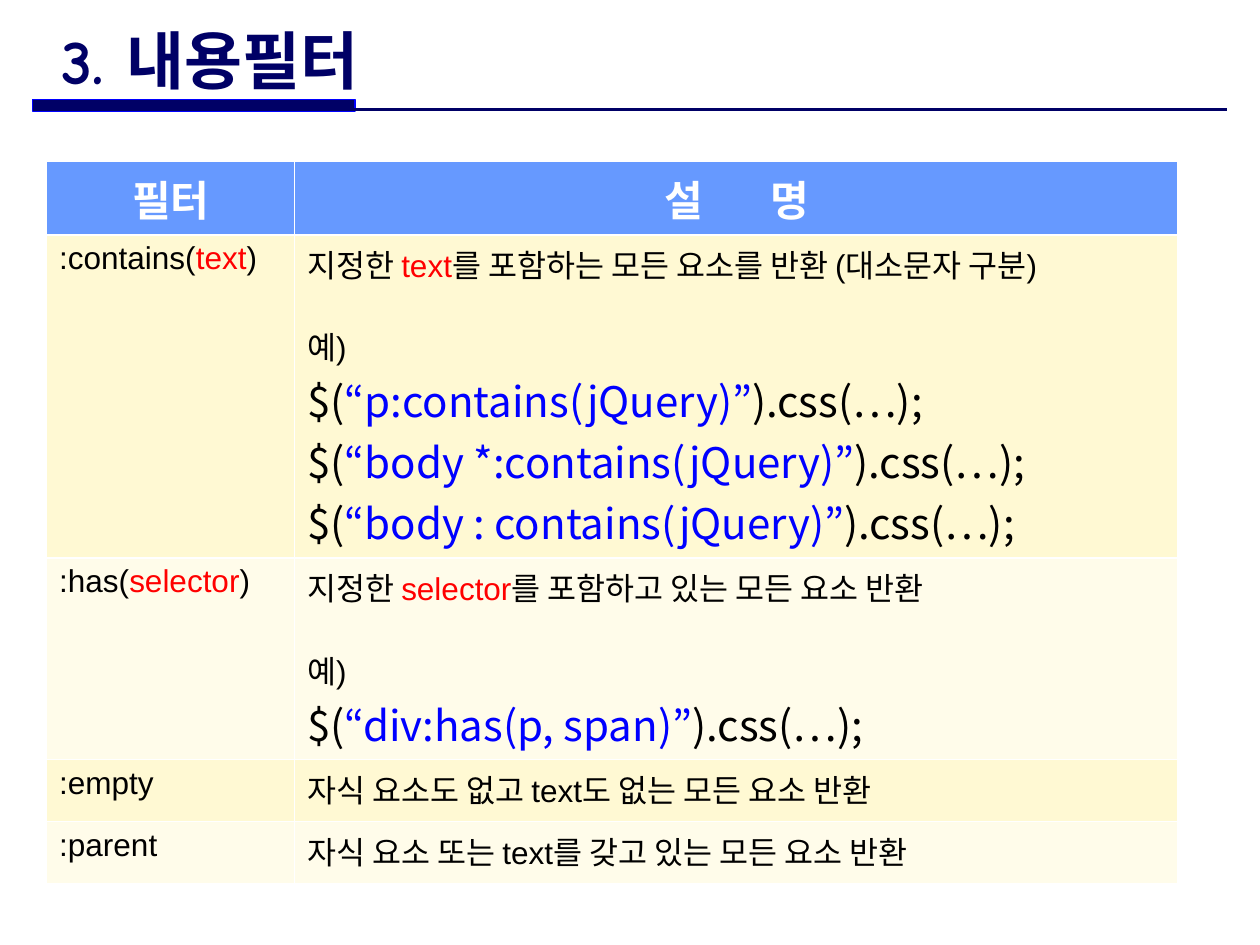
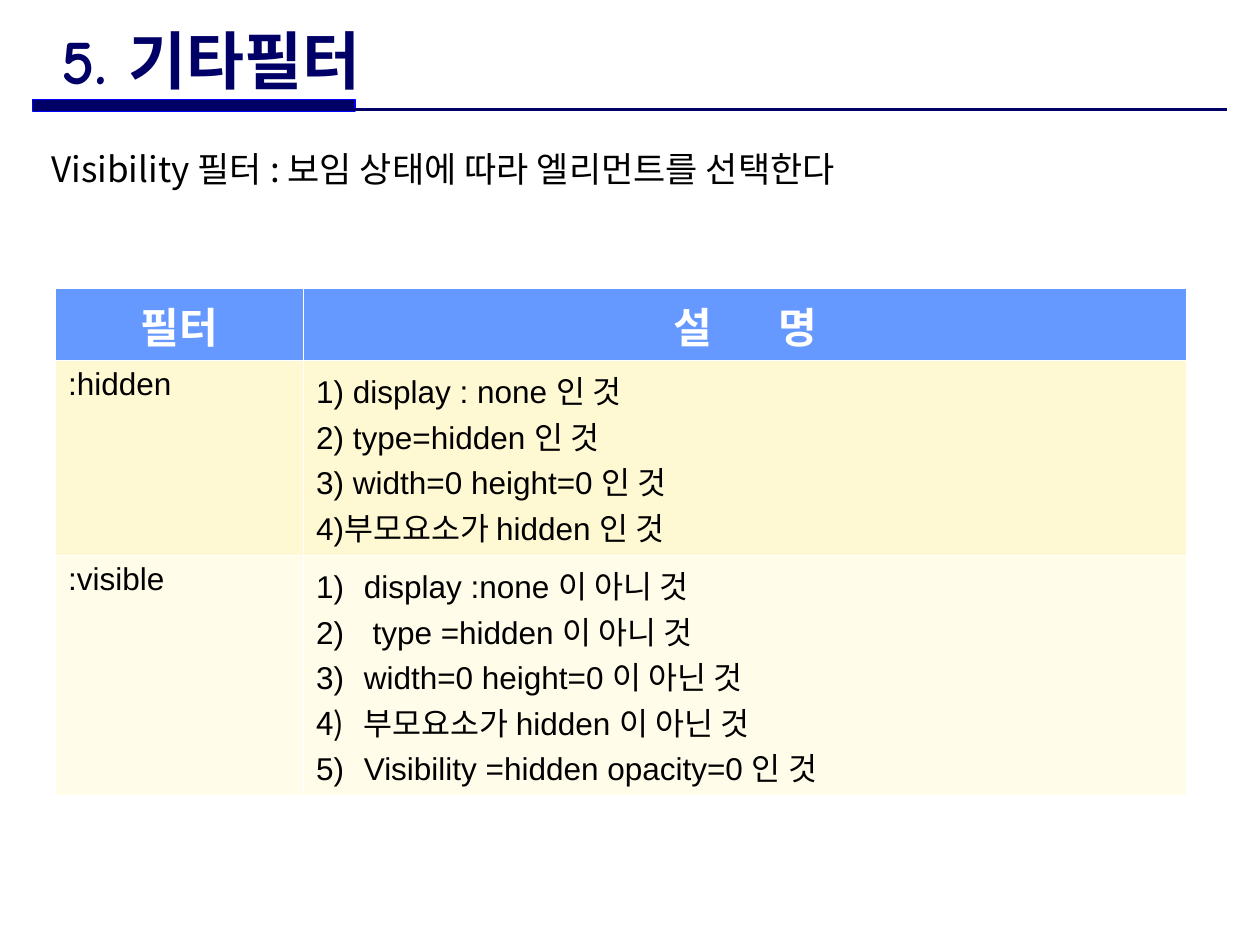
from lxml import etree
from pptx import Presentation
from pptx.dml.color import RGBColor
from pptx.enum.shapes import MSO_CONNECTOR, MSO_SHAPE
from pptx.enum.text import MSO_ANCHOR, MSO_AUTO_SIZE, PP_ALIGN
from pptx.oxml.ns import qn
from pptx.util import Cm, Pt

LEFT, CENTER = PP_ALIGN.LEFT, PP_ALIGN.CENTER
MIDDLE, NO_FIT = MSO_ANCHOR.MIDDLE, MSO_AUTO_SIZE.NONE
RECT, STRAIGHT = MSO_SHAPE.RECTANGLE, MSO_CONNECTOR.STRAIGHT

COLORS = {
    "navy": "000066", "blue": "0000FF", "red": "FF0000", "black": "000000",
    "white": "FFFFFF", "header": "6699FF", "band1": "FFF9D3", "band2": "FFFCEA",
}
SANS, KOREAN, TITLE_FONT = "Arial", "Noto Sans CJK KR", "Comic Neue"
HANGING = Cm(0.96)
COLUMNS = (5.0, 17.81)
HEADER = ("필터", "설 명")

# Content: a paragraph is a list of (text, colour) runs plus its format


def para(*runs, **fmt):
    return [r if isinstance(r, tuple) else (r, "black") for r in runs], fmt


def code(selector):
    return para("$(", (f"“{selector}”", "blue"), ").css(…);", size=24, font=KOREAN)


def numbered(text):
    return para(text, number=True)


EXAMPLE = para("예)", before=21)

SLIDES = [
    {
        "title": "3. 내용필터",
        "at": (0.94, 3.25),
        "heights": (1.48, 6.5, 4.06, 1.25, 1.25),
        "rows": [
            (para(":contains(", ("text", "red"), ")"),
             [para("지정한 ", ("text", "red"), "를 포함하는 모든 요소를 반환 (대소문자 구분)"),
              EXAMPLE,
              code("p:contains(jQuery)"),
              code("body *:contains(jQuery)"),
              code("body : contains(jQuery)")]),
            (para(":has(", ("selector", "red"), ")"),
             [para("지정한 ", ("selector", "red"), "를 포함하고 있는 모든 요소 반환"),
              EXAMPLE,
              code("div:has(p, span)")]),
            (para(":empty"), [para("자식 요소도 없고 text도 없는 모든 요소 반환")]),
            (para(":parent"), [para("자식 요소 또는 text를 갖고 있는 모든 요소 반환")]),
        ],
    },
    {
        "title": "5. 기타필터",
        "intro": "Visibility 필터 : 보임 상태에 따라 엘리먼트를 선택한다",
        "at": (1.12, 5.82),
        "heights": (1.45, 3.93, 4.84),
        "rows": [
            (para(":hidden"),
             [para("1) display : none 인 것"),
              para("2) type=hidden 인 것"),
              para("3) width=0 height=0 인 것"),
              para("4)부모요소가 hidden 인 것")]),
            (para(":visible"),
             [numbered("display :none 이 아니 것"),
              numbered(" type =hidden 이 아니 것"),
              numbered("width=0 height=0 이 아닌 것"),
              numbered("부모요소가 hidden 이 아닌 것"),
              numbered("Visibility =hidden opacity=0 인 것")]),
        ],
    },
]


def rgb(name):
    return RGBColor.from_string(COLORS[name])


def write(p, runs, size=18, font=SANS, bold=False, align=LEFT, before=0,
          number=False, space_gap=0):
    """Fill a paragraph; space_gap widens each run that is a single space."""
    p.alignment = align
    p.space_before = Pt(before)
    if number:
        pPr = p._p.get_or_add_pPr()
        pPr.set("marL", str(HANGING))
        pPr.set("indent", str(-HANGING))
        etree.SubElement(pPr, qn("a:buFont"), typeface="+mj-lt")
        etree.SubElement(pPr, qn("a:buAutoNum"), type="arabicParenR")
    for text, color in runs:
        r = p.add_run()
        r.text = text
        r.font.size, r.font.bold, r.font.name = Pt(size), bold, font
        r.font.color.rgb = rgb(color)
        rPr = r._r.get_or_add_rPr()
        etree.SubElement(rPr, qn("a:ea"), typeface=KOREAN)
        if space_gap and text == " ":
            rPr.set("spc", str(space_gap * 100))


def add_header_band(s):
    bar = s.shapes.add_shape(RECT, Cm(0.66), Cm(2.01), Cm(6.5), Cm(0.23))
    bar.shadow.inherit = False
    bar.fill.solid()
    bar.fill.fore_color.rgb = rgb("navy")
    bar.line.color.rgb = rgb("blue")
    bar.line.width = Pt(0.75)
    rule = s.shapes.add_connector(STRAIGHT, Cm(0.66), Cm(2.21), Cm(24.74), Cm(2.21))
    rule.line.color.rgb = rgb("navy")
    rule.line.width = Pt(1.5)
    etree.SubElement(rule._element.spPr, qn("a:effectLst"))


def add_title(s, text):
    title = s.shapes.title
    title.left, title.top, title.width, title.height = Cm(0.99), Cm(0.53), Cm(17.25), Cm(1.32)
    tf = title.text_frame
    tf.auto_size, tf.vertical_anchor = NO_FIT, MIDDLE
    write(tf.paragraphs[0], [(text, "navy")], size=36, font=TITLE_FONT, bold=True)


def add_intro(s, text):
    tf = s.shapes.add_textbox(Cm(0.79), Cm(2.84), Cm(23.95), Cm(1.4)).text_frame
    tf.word_wrap = True
    write(tf.paragraphs[0], [(text, "black")], size=20, font=KOREAN, before=4)


def fill_cell(cell, color, paragraphs):
    cell.fill.solid()
    cell.fill.fore_color.rgb = rgb(color)
    tf = cell.text_frame
    for i, (runs, fmt) in enumerate(paragraphs):
        write(tf.add_paragraph() if i else tf.paragraphs[0], runs, **fmt)


def add_filter_table(s, at, heights, rows):
    left, top = map(Cm, at)
    table = s.shapes.add_table(len(heights), len(COLUMNS), left, top,
                               Cm(sum(COLUMNS)), Cm(sum(heights))).table
    for column, width in zip(table.columns, COLUMNS):
        column.width = Cm(width)
    for row, height in zip(table.rows, heights):
        row.height = Cm(height)
    # Header words are split so that the space between them can be widened
    for c, label in enumerate(HEADER):
        runs = [(part, "white") for part in label.replace(" ", "| |").split("|")]
        fill_cell(table.cell(0, c), "header",
                  [para(*runs, size=24, bold=True, align=CENTER, space_gap=33)])
    for i, (name, description) in enumerate(rows, 1):
        band = "band1" if i % 2 else "band2"
        fill_cell(table.cell(i, 0), band, [name])
        fill_cell(table.cell(i, 1), band, description)


def main():
    prs = Presentation()
    prs.slide_width, prs.slide_height = Cm(25.4), Cm(19.05)
    for content in SLIDES:
        s = prs.slides.add_slide(prs.slide_layouts[5])
        add_header_band(s)
        add_title(s, content["title"])
        if "intro" in content:
            add_intro(s, content["intro"])
        add_filter_table(s, content["at"], content["heights"], content["rows"])
    prs.save("out.pptx")


if __name__ == "__main__":
    main()
